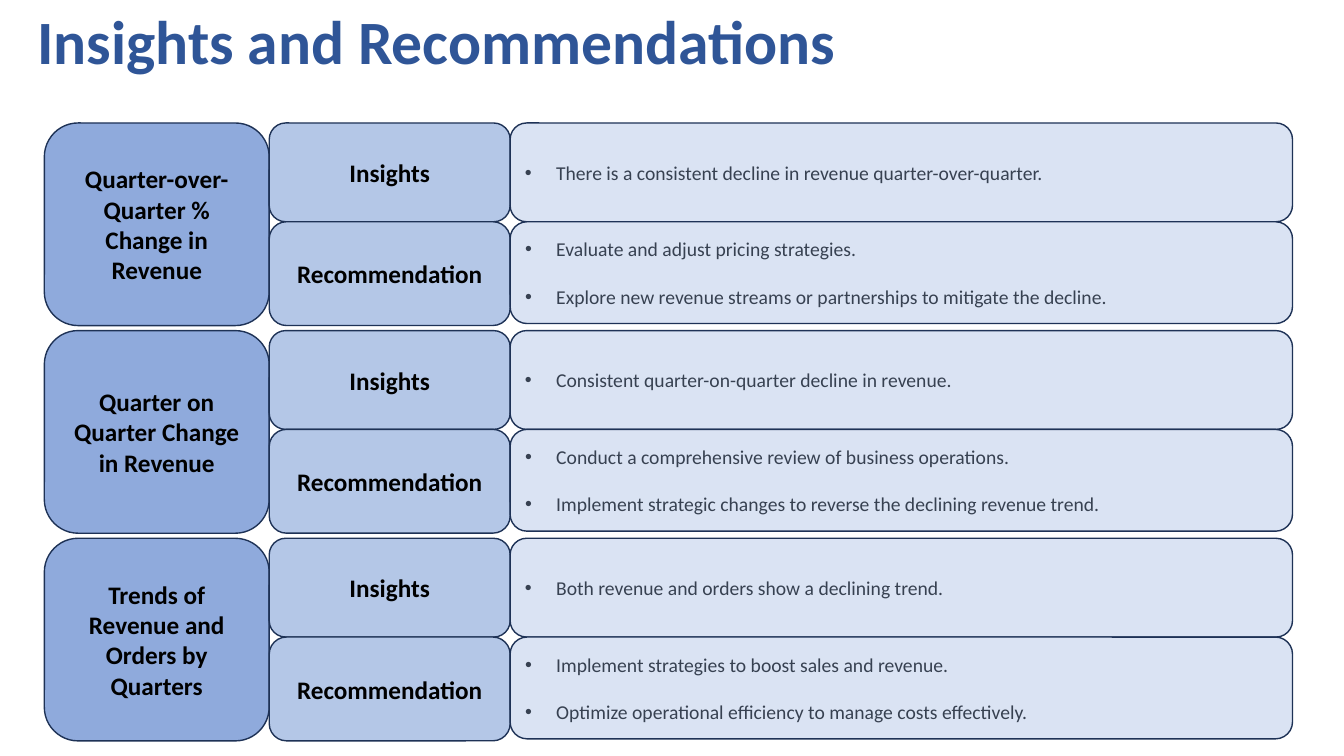
from lxml.etree import SubElement
from pptx import Presentation
from pptx.dml.color import RGBColor
from pptx.enum.shapes import MSO_SHAPE as Shape
from pptx.enum.text import MSO_ANCHOR as Anchor, MSO_AUTO_SIZE as AutoSize, PP_ALIGN as Align
from pptx.oxml.ns import qn
from pptx.util import Inches, Pt

TOPICS = [
    ("Quarter-over-Quarter % Change in Revenue",
     ["There is a consistent decline in revenue quarter-over-quarter."],
     ["Evaluate and adjust pricing strategies.",
      "Explore new revenue streams or partnerships to mitigate the decline."]),
    ("Quarter on Quarter Change in Revenue",
     ["Consistent quarter-on-quarter decline in revenue."],
     ["Conduct a comprehensive review of business operations.",
      "Implement strategic changes to reverse the declining revenue trend."]),
    ("Trends of Revenue and Orders by Quarters",
     ["Both revenue and orders show a declining trend."],
     ["Implement strategies to boost sales and revenue.",
      "Optimize operational efficiency to manage costs effectively."]),
]
TOPIC_LEFT, LABEL_LEFT, DETAIL_LEFT, RIGHT = 0.44, 2.67, 5.06, 12.82
FIRST_TOP, TOPIC_PITCH, TOPIC_HEIGHT = 1.22, 2.06, 2.01
INSIGHT_HEIGHT, LABEL_HEIGHT, DETAIL_HEIGHT = 0.98, 1.03, 1.01


def color(value):
    return RGBColor.from_string(value)


class InsightSlide:
    font_name = "Calibri"
    title_color = "2F5597"
    topic_fill = "8FAADC"
    label_fill = "B4C7E7"
    detail_fill = "DAE3F3"
    outline = "1E3256"
    heading_color = "000000"
    detail_color = "374151"

    def __init__(self, presentation):
        self.slide = presentation.slides.add_slide(presentation.slide_layouts[5])

    def add_run(self, paragraph, text, size, text_color, bold=False):
        run = paragraph.add_run()
        run.text = text
        run.font.name = self.font_name
        run.font.size = Pt(size)
        run.font.bold = bold
        run.font.color.rgb = color(text_color)

    def title(self, text):
        title = self.slide.shapes.title
        title.left, title.top = Inches(0.27), Inches(-0.05)
        title.width, title.height = Inches(10.86), Inches(0.87)
        frame = title.text_frame
        frame.auto_size = AutoSize.NONE
        frame.vertical_anchor = Anchor.BOTTOM
        paragraph = frame.paragraphs[0]
        paragraph.alignment = Align.LEFT
        paragraph.line_spacing = 0.9
        self.add_run(paragraph, text, 44, self.title_color, bold=True)

    def box(self, group, left, top, width, height, fill):
        shape = group.shapes.add_shape(
            Shape.ROUNDED_RECTANGLE,
            Inches(left), Inches(top), Inches(width), Inches(height))
        shape.shadow.inherit = False
        shape.fill.solid()
        shape.fill.fore_color.rgb = color(fill)
        shape.line.color.rgb = color(self.outline)
        shape.line.width = Pt(1)
        shape.text_frame.word_wrap = True
        shape.text_frame.vertical_anchor = Anchor.MIDDLE
        return shape.text_frame

    def heading(self, group, left, top, width, height, fill, text):
        frame = self.box(group, left, top, width, height, fill)
        paragraph = frame.paragraphs[0]
        paragraph.alignment = Align.CENTER
        self.add_run(paragraph, text, 18, self.heading_color, bold=True)

    def bullets(self, group, top, height, items):
        frame = self.box(group, DETAIL_LEFT, top, RIGHT - DETAIL_LEFT, height, self.detail_fill)
        for index, item in enumerate(items):
            paragraph = frame.add_paragraph() if index else frame.paragraphs[0]
            paragraph.alignment = Align.LEFT
            if index:
                paragraph.space_before = Pt(17)
            properties = paragraph._p.get_or_add_pPr()
            properties.set("marL", str(Inches(0.31)))
            properties.set("indent", str(-Inches(0.31)))
            SubElement(properties, qn("a:buFont"), typeface="Arial")
            SubElement(properties, qn("a:buChar"), char="•")
            self.add_run(paragraph, item, 14, self.detail_color)

    def topic(self, top, name, insights, recommendations):
        group = self.slide.shapes.add_group_shape()
        middle = top + INSIGHT_HEIGHT
        label_width = DETAIL_LEFT - LABEL_LEFT
        self.heading(group, TOPIC_LEFT, top, LABEL_LEFT - TOPIC_LEFT, TOPIC_HEIGHT,
                     self.topic_fill, name)
        self.heading(group, LABEL_LEFT, top, label_width, INSIGHT_HEIGHT,
                     self.label_fill, "Insights")
        self.heading(group, LABEL_LEFT, middle, label_width, LABEL_HEIGHT,
                     self.label_fill, "Recommendation")
        self.bullets(group, top, INSIGHT_HEIGHT, insights)
        self.bullets(group, middle, DETAIL_HEIGHT, recommendations)


def main():
    presentation = Presentation()
    presentation.slide_width = Inches(13.33)
    presentation.slide_height = Inches(7.5)
    page = InsightSlide(presentation)
    page.title("Insights and Recommendations")
    for index, (name, insights, recommendations) in enumerate(TOPICS):
        page.topic(FIRST_TOP + index * TOPIC_PITCH, name, insights, recommendations)
    presentation.save("out.pptx")


if __name__ == "__main__":
    main()
